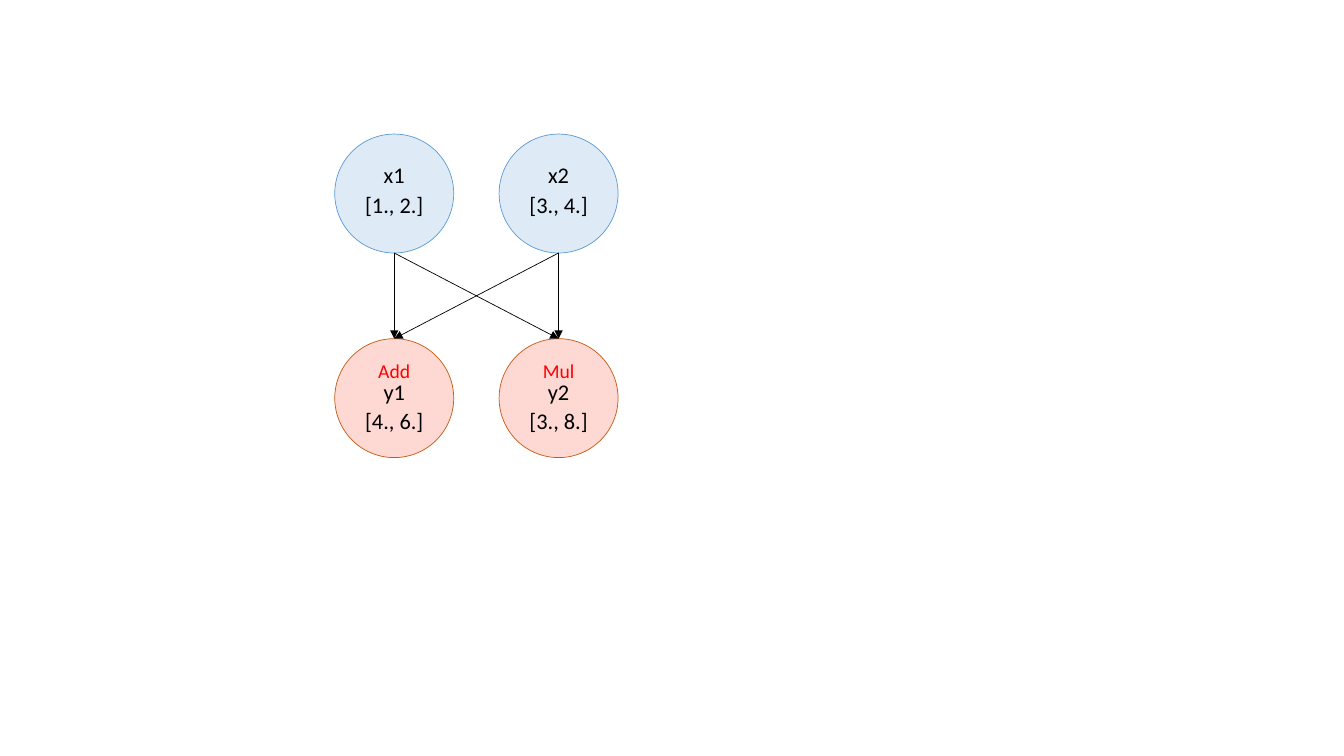
import pptx
import pptx.util
import pptx.dml.color
import pptx.enum.shapes
import pptx.enum.text
import pptx.oxml.ns
import lxml.etree

Inches = pptx.util.Inches
Pt = pptx.util.Pt

DIAMETER = 1.18
COLUMNS = (3.91, 5.54)
INPUT_TOP, OUTPUT_TOP = 1.33, 3.36
BLACK, RED = "000000", "FF0000"

# label, width, height, offset from the circle's top, size, colour
inputs = {
    "top": INPUT_TOP, "fill": "DEEBF7", "line": "5B9BD5",
    "rows": [(0.41, 0.37, 0.22, 16, BLACK), (0.79, 0.37, 0.52, 16, BLACK)],
    "nodes": [("x1", "[1., 2.]"), ("x2", "[3., 4.]")],
}
outputs = {
    "top": OUTPUT_TOP, "fill": "FED9D3", "line": "C55A11",
    "rows": [(0.42, 0.37, 0.34, 16, BLACK), (0.79, 0.37, 0.63, 16, BLACK),
             (0.52, 0.34, 0.15, 14, RED)],
    "nodes": [("y1", "[4., 6.]", "Add"), ("y2", "[3., 8.]", "Mul")],
}


def color(value):
    return pptx.dml.color.RGBColor.from_string(value)


def add_circle(center, layer):
    circle = page.shapes.add_shape(
        pptx.enum.shapes.MSO_SHAPE.OVAL, Inches(center - DIAMETER / 2),
        Inches(layer["top"]), Inches(DIAMETER), Inches(DIAMETER))
    circle.shadow.inherit = False
    circle.fill.solid()
    circle.fill.fore_color.rgb = color(layer["fill"])
    circle.line.color.rgb = color(layer["line"])
    circle.line.width = Pt(0.5)


def add_label(text, center, top, width, height, size, shade):
    box = page.shapes.add_textbox(
        Inches(center - width / 2), Inches(top), Inches(width), Inches(height))
    frame = box.text_frame
    frame.word_wrap = False
    frame.auto_size = pptx.enum.text.MSO_AUTO_SIZE.SHAPE_TO_FIT_TEXT
    para = frame.paragraphs[0]
    para.text = text
    para.alignment = pptx.enum.text.PP_ALIGN.CENTER
    para.font.name = "Calibri"
    para.font.size = Pt(size)
    para.font.color.rgb = color(shade)


def add_arrow(start, end):
    arrow = page.shapes.add_connector(
        pptx.enum.shapes.MSO_CONNECTOR.STRAIGHT, Inches(start),
        Inches(INPUT_TOP + DIAMETER), Inches(end), Inches(OUTPUT_TOP))
    arrow.line.color.rgb = color(BLACK)
    arrow.line.width = Pt(0.5)
    qualified = pptx.oxml.ns.qn
    lxml.etree.SubElement(
        arrow.line._get_or_add_ln(), qualified("a:tailEnd"), type="triangle")
    lxml.etree.SubElement(arrow._element.spPr, qualified("a:effectLst"))


deck = pptx.Presentation()
deck.slide_width, deck.slide_height = Inches(13.33), Inches(7.5)
page = deck.slides.add_slide(deck.slide_layouts[6])

for layer in (inputs, outputs):
    for center, labels in zip(COLUMNS, layer["nodes"]):
        add_circle(center, layer)
        for text, (width, height, offset, size, shade) in zip(labels, layer["rows"]):
            add_label(text, center, layer["top"] + offset, width, height, size, shade)

for start in COLUMNS:
    for end in COLUMNS:
        add_arrow(start, end)

deck.save("out.pptx")
